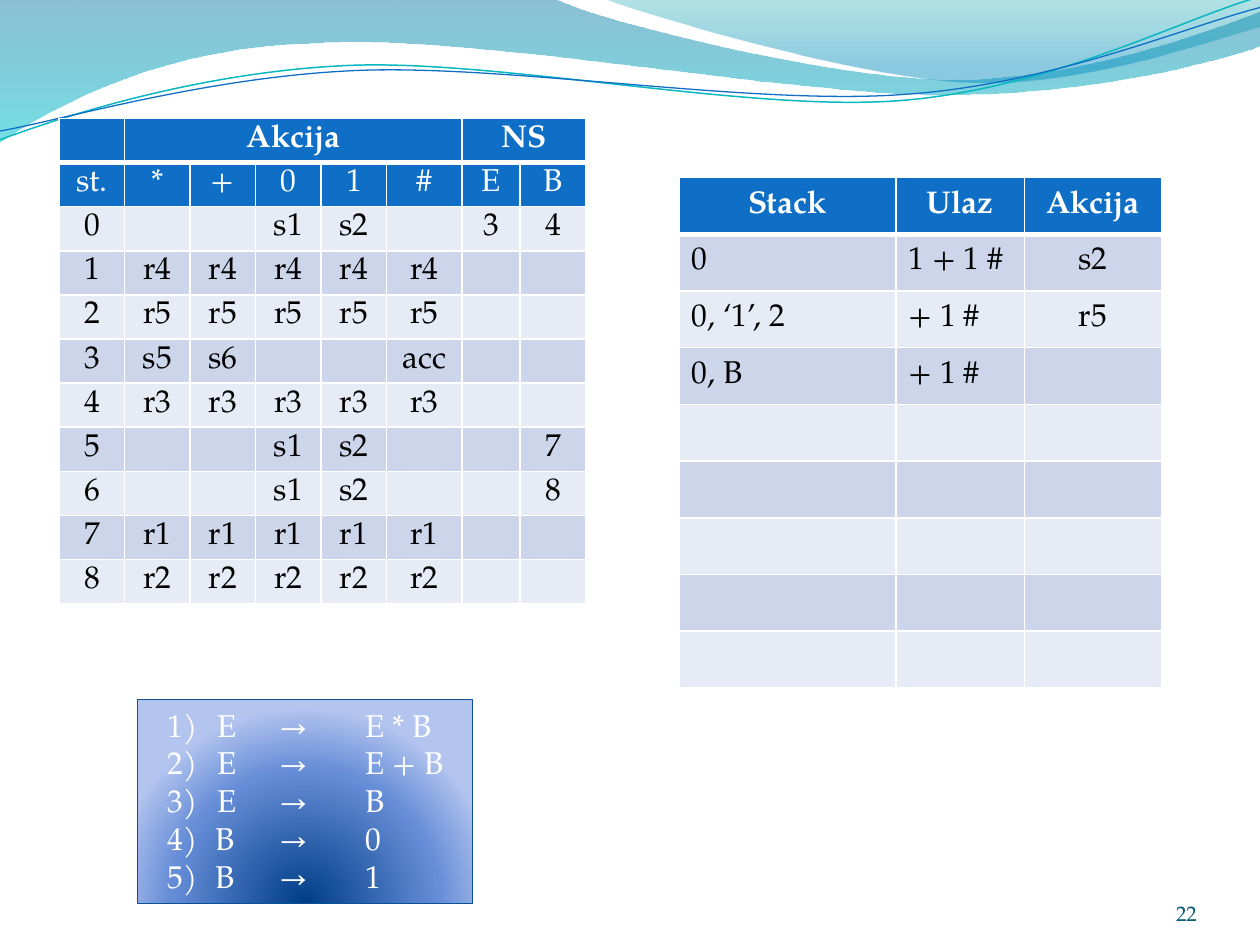
from lxml.etree import SubElement
from pptx import Presentation
from pptx.dml.color import RGBColor
from pptx.enum.shapes import MSO_SHAPE
from pptx.enum.text import MSO_ANCHOR, MSO_AUTO_SIZE, PP_ALIGN
from pptx.oxml.ns import qn
from pptx.util import Inches, Pt

BLUE, WHITE, BLACK = "0F6FC6", "FFFFFF", "000000"
BANDS = ("E7EBF5", "CCD5EA")

ACTION_ROWS = [row.split("|") for row in (
    "|Akcija|||||NS|",
    "st.|*|+|0|1|#|E|B",
    "0|||s1|s2||3|4",
    "1|r4|r4|r4|r4|r4||",
    "2|r5|r5|r5|r5|r5||",
    "3|s5|s6|||acc||",
    "4|r3|r3|r3|r3|r3||",
    "5|||s1|s2|||7",
    "6|||s1|s2|||8",
    "7|r1|r1|r1|r1|r1||",
    "8|r2|r2|r2|r2|r2||",
)]
STACK_ROWS = [
    ["Stack", "Ulaz", "Akcija"],
    ["0", "1 + 1 #", "s2"],
    ["0, ‘1’, 2", "+ 1 #", "r5"],
    ["0, B", "+ 1 #", ""],
] + [[""] * 3 for _ in range(5)]
GRAMMAR = ["1) \tE\t→\tE * B\v2) \tE\t→ \tE + B\v3) \tE\t→ \tB", "B\t→\t0", "B\t→\t1"]

BACK_WAVE = [
    (0, 0), (4.4, -0.01),
    (4.76, 0.17, 6.64, 0.63, 7.58, 0.63), (8.53, 0.63, 9.58, 0.26, 10, 0.09),
    (10.01, 0.36),
    (9.83, 0.44, 8.7, 0.76, 7.46, 0.75), (6.22, 0.75, 3.82, 0.28, 2.57, 0.34),
    (1.29, 0.36, 0.46, 0.83, -0.01, 1.13),
]
FRONT_WAVE = [
    (4.79, -0.01),
    (5.09, 0.11, 6.82, 0.62, 7.69, 0.65), (8.56, 0.69, 9.61, 0.32, 10, 0.21),
    (10, 0),
]
TEAL_CURVE = [
    (0, 1.11), (0.48, 0.93, 1.58, 0.57, 2.77, 0.52),
    (3.95, 0.47, 5.93, 0.89, 7.13, 0.8), (8.33, 0.71, 9.38, 0.15, 9.98, -0.02),
]
BLUE_CURVE = [
    (0, 1.04), (0.47, 0.96, 1.64, 0.61, 2.83, 0.56),
    (4.03, 0.51, 5.97, 0.84, 7.17, 0.75), (8.36, 0.67, 9.41, 0.21, 10, 0.06),
]


def color(value):
    """Turn a hex string into a colour."""
    return RGBColor.from_string(value)


def add_node(parent, tag, **attributes):
    """Append a drawing element with its attributes."""
    return SubElement(parent, qn(f"a:{tag}"), {key: str(value) for key, value in attributes.items()})


def add_color(parent, value, opacity=100):
    """Append a colour with its opacity in percent."""
    add_node(add_node(parent, "srgbClr", val=value), "alpha", val=opacity * 1000)


class SlideBuilder:
    """Hold the text style and the current slide."""

    def __init__(self, slide, font="TeX Gyre Pagella", size=18):
        """Keep the slide and its default font."""
        self.slide, self.font, self.size = slide, font, size

    def style(self, para, text_color, size=None, bold=False, align=PP_ALIGN.LEFT):
        """Format one paragraph."""
        para.alignment = align
        para.font.name, para.font.size = self.font, Pt(size or self.size)
        para.font.bold, para.font.color.rgb = bold, color(text_color)

    def gradient(self, shape, stops, center=None):
        """Fill a shape from top to bottom or outward from a centre."""
        shape.fill.gradient()
        fill = shape._element.spPr.find(qn("a:gradFill"))
        for child in list(fill):
            fill.remove(child)
        stop_list = add_node(fill, "gsLst")
        for position, value, opacity in stops:
            add_color(add_node(stop_list, "gs", pos=position * 1000), value, opacity)
        if center:
            sides = {side: share * 1000 for side, share in zip("ltrb", center)}
            add_node(add_node(fill, "path", path="circle"), "fillToRect", **sides)
        else:
            add_node(fill, "lin", ang=5400000, scaled=0)

    def outline(self, segments, closed):
        """Draw an outline of straight and cubic segments."""
        units = [[round(value * 100) for value in segment] for segment in segments]
        anchors = [segment[-2:] for segment in units]
        builder = self.slide.shapes.build_freeform(*anchors[0], scale=Inches(0.01))
        builder.add_line_segments(anchors[1:], close=closed)
        shape = builder.convert_to_shape()
        left, top = (min(axis) for axis in zip(*anchors))
        lines = list(shape._element.spPr.iter(qn("a:lnTo")))
        for line, segment in zip(lines, units[1:]):
            if len(segment) == 6:
                line.tag = qn("a:cubicBezTo")
                line.remove(line[0])
                for x, y in zip(segment[::2], segment[1::2]):
                    add_node(line, "pt", x=x - left, y=y - top)
        shape.shadow.inherit = False
        return shape

    def wave(self, segments, stops):
        """Draw a filled wave."""
        shape = self.outline(segments, True)
        self.gradient(shape, stops)
        shape.line.fill.background()

    def curve(self, segments, line_color, width):
        """Draw a thin curved line."""
        shape = self.outline(segments, False)
        shape.fill.background()
        shape.line.color.rgb, shape.line.width = color(line_color), Pt(width)

    def cell(self, cell, text, fill, text_color, bold, align, padding):
        """Fill and format one table cell."""
        cell.text = text
        cell.vertical_anchor = MSO_ANCHOR.MIDDLE
        cell.margin_top = cell.margin_bottom = Inches(padding)
        properties = cell._tc.get_or_add_tcPr()
        for side in "LRTB":
            width = Pt(3 if bold and side == "B" else 1)
            border = add_node(properties, f"ln{side}", w=width)
            add_color(add_node(border, "solidFill"), WHITE)
        cell.fill.solid()
        cell.fill.fore_color.rgb = color(fill)
        self.style(cell.text_frame.paragraphs[0], text_color, bold=bold, align=align)

    def table(self, rows, left, top, widths, height, header_rows=1, left_columns=0, padding=0.05, spans=()):
        """Draw a banded table with bold first row."""
        frame = self.slide.shapes.add_table(
            len(rows), len(widths), Inches(left), Inches(top),
            Inches(sum(widths)), Inches(height * len(rows)))
        table = frame.table
        for column, width in zip(table.columns, widths):
            column.width = Inches(width)
        for row_index, row in enumerate(rows):
            table.rows[row_index].height = Inches(height)
            header = row_index < header_rows
            fill = BLUE if header else BANDS[row_index % 2]
            for column_index, text in enumerate(row):
                to_left = not header and column_index < left_columns
                self.cell(table.cell(row_index, column_index), text, fill,
                          WHITE if header else BLACK, row_index == 0,
                          PP_ALIGN.LEFT if to_left else PP_ALIGN.CENTER, padding)
        for first, last in spans:
            table.cell(0, first).merge(table.cell(0, last))

    def grammar(self, rules, left, top, width, height):
        """Draw the box of grammar rules."""
        box = self.slide.shapes.add_shape(
            MSO_SHAPE.RECTANGLE, Inches(left), Inches(top), Inches(width), Inches(height))
        self.gradient(box, [(0, "003D87", 100), (68, "668DD7", 100), (100, "B3C4EF", 100)], (50, 130, 50, -30))
        box.line.color.rgb, box.line.width = color("095295"), Pt(0.75)
        box.shadow.inherit = False
        frame = box.text_frame
        frame.word_wrap, frame.auto_size = True, MSO_AUTO_SIZE.SHAPE_TO_FIT_TEXT
        frame.vertical_anchor, frame.margin_left = MSO_ANCHOR.TOP, Inches(0.24)
        for index, rule in enumerate(rules):
            para = frame.paragraphs[0] if index == 0 else frame.add_paragraph()
            para.text = rule
            properties = para._p.get_or_add_pPr()
            if index:
                properties.set("marL", str(Inches(0.38)))
                properties.set("indent", str(-Inches(0.38)))
                add_node(properties, "buAutoNum", type="arabicParenR", startAt=4)
            tabs = add_node(properties, "tabLst")
            for position in (0.4, 0.89, 1.57):
                add_node(tabs, "tab", pos=Inches(position), algn="l")
            self.style(para, WHITE)

    def page_number(self, text, left, top, width, height):
        """Write the page number."""
        box = self.slide.shapes.add_textbox(Inches(left), Inches(top), Inches(width), Inches(height))
        frame = box.text_frame
        frame.word_wrap, frame.vertical_anchor = True, MSO_ANCHOR.BOTTOM
        frame.margin_left = frame.margin_right = frame.margin_top = frame.margin_bottom = 0
        frame.text = text
        self.style(frame.paragraphs[0], "045D75", size=12, align=PP_ALIGN.RIGHT)


def main():
    """Build the slide and save the deck."""
    deck = Presentation()
    deck.slide_width, deck.slide_height = Inches(10), Inches(7.5)
    page = SlideBuilder(deck.slides.add_slide(deck.slide_layouts[6]))
    page.wave(BACK_WAVE, [(0, "0074A1", 45), (100, "00C6CF", 55)])
    page.wave(FRONT_WAVE, [(0, "00A1A9", 30), (80, "008BBF", 45)])
    page.curve(TEAL_CURVE, "0AB8BF", 0.85)
    page.curve(BLUE_CURVE, BLUE, 0.75)
    page.table(ACTION_ROWS, 0.47, 0.94, [0.52] * 5 + [0.6, 0.46, 0.52], 0.35,
               header_rows=2, padding=0.02, spans=[(1, 5), (6, 7)])
    page.page_number("22", 8.67, 6.95, 0.83, 0.4)
    page.grammar(GRAMMAR, 1.09, 5.55, 2.66, 1.62)
    page.table(STACK_ROWS, 5.39, 1.41, [1.72, 1.02, 1.09], 0.45, left_columns=2)
    deck.save("out.pptx")


if __name__ == "__main__":
    main()
